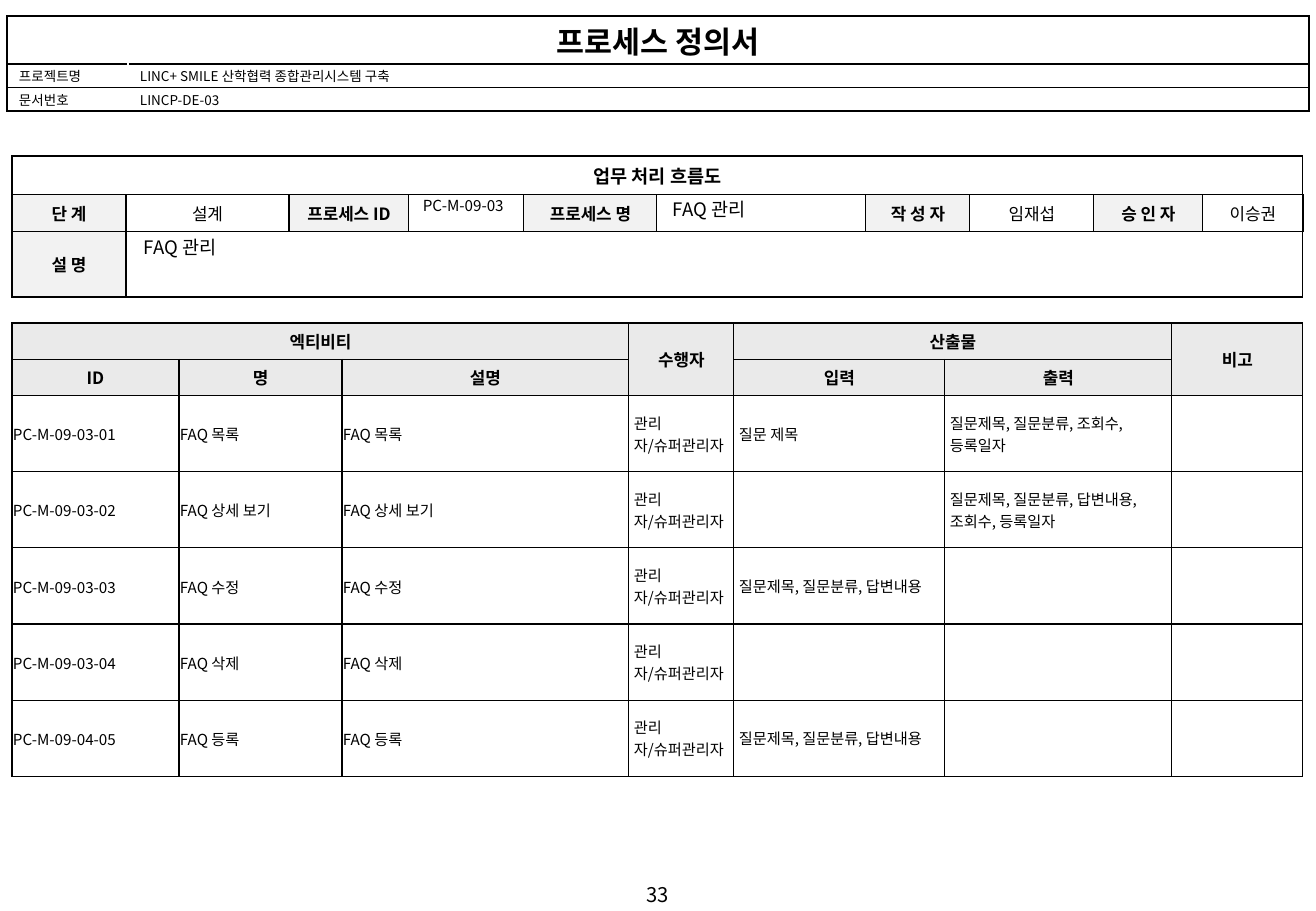
"""Build the process definition slide with its three tables."""
from lxml.etree import SubElement as Sub
from pptx import Presentation
from pptx.dml.color import RGBColor
from pptx.enum.text import MSO_ANCHOR as Anchor, PP_ALIGN as Align
from pptx.oxml.ns import qn
from pptx.util import Pt

PX = 7526
FONT = "Noto Sans CJK KR"
BLACK = RGBColor(0x00, 0x00, 0x00)
WHITE = RGBColor(0xFF, 0xFF, 0xFF)
PALE = RGBColor(0xF2, 0xF2, 0xF2)
GRAY = RGBColor(0xEA, 0xEA, 0xEA)

ROLE = "관리자/슈퍼관리자"
DOC = [
    ["프로세스 정의서", ""],
    ["프로젝트명", "LINC+ SMILE 산학협력 종합관리시스템 구축"],
    ["문서번호", "LINCP-DE-03"],
]
FLOW = [
    ["업무 처리 흐름도"] + [""] * 9,
    ["단 계", "설계", "프로세스 ID", "", "프로세스 명", "",
     "작 성 자", "임재섭", "승 인 자", "이승권"],
    ["설 명"] + [""] * 9,
]
TASKS = [
    ("PC-M-09-03-01", "FAQ 목록", "질문 제목", "질문제목, 질문분류, 조회수, 등록일자"),
    ("PC-M-09-03-02", "FAQ 상세 보기", "", "질문제목, 질문분류, 답변내용, 조회수, 등록일자"),
    ("PC-M-09-03-03", "FAQ 수정", "질문제목, 질문분류, 답변내용", ""),
    ("PC-M-09-03-04", "FAQ 삭제", "", ""),
    ("PC-M-09-04-05", "FAQ 등록", "질문제목, 질문분류, 답변내용", ""),
]
WORK = [
    ["엑티비티", "", "", "수행자", "산출물", "", "비고"],
    ["ID", "명", "설명", "", "입력", "출력", ""],
] + [[code, name, name, ROLE, take, give, ""] for code, name, take, give in TASKS]
NOTES = [
    ("33", 0, 876, 1316, 36, 12, Align.CENTER),
    ("PC-M-09-03", 411, 190, 113, 30, 9, Align.LEFT),
    ("FAQ 관리", 661, 192, 208, 35, 11, Align.LEFT),
    ("FAQ 관리", 132, 230, 1158, 35, 11, Align.LEFT),
]


def doc_style(row, col):
    """Return size, bold, fill, centring, anchor and insets of a document cell."""
    top = row == 0
    return 18 if top else 8, top, WHITE, top, Anchor.TOP, (12, 2, 12, 2)


def flow_style(row, col):
    """Return the same six settings for a flow cell."""
    label = row > 0 and col % 2 == 0 and (row == 1 or col == 0)
    size = 10 if row else 11
    fill = PALE if label else WHITE
    return size, label or row == 0, fill, True, Anchor.MIDDLE, (12, 6, 12, 6)


def work_style(row, col):
    """Return the same six settings for an activity cell."""
    if row < 2:
        return 10, True, GRAY, True, Anchor.MIDDLE, (12, 6, 12, 6)
    pad = (1, 1, 1, 0) if col < 3 else (5, 5, 5, 5)
    return 9, False, WHITE, False, Anchor.MIDDLE, pad


def set_font(para, size, bold=False):
    """Format a paragraph, including its East Asian face."""
    font = para.font
    font.name, font.size, font.bold = FONT, Pt(size), bold
    font.color.rgb = BLACK
    Sub(para._p.pPr.find(qn("a:defRPr")), qn("a:ea"), typeface=FONT)
    if not para.text:
        Sub(para._p, qn("a:endParaRPr"), sz=str(size * 100))


def set_edge(cell, side, color, width):
    """Draw one border of a cell."""
    line = Sub(cell._tc.get_or_add_tcPr(), qn(f"a:ln{side}"), w=str(Pt(width)))
    Sub(Sub(line, qn("a:solidFill")), qn("a:srgbClr"), val=str(color))


def add_grid(slide, data, left, top, cols, rows, style, spans, thin, heavy, pale=()):
    """Add a table whose sides named in heavy have one-point lines."""
    frame = slide.shapes.add_table(len(rows), len(cols), left * PX, top * PX,
                                   sum(cols) * PX, sum(rows) * PX)
    table = frame.table
    table.first_row = table.horz_banding = False
    for col, width in zip(table.columns, cols):
        col.width = width * PX
    for row, height in zip(table.rows, rows):
        row.height = height * PX
    for r, texts in enumerate(data):
        for c, text in enumerate(texts):
            cell = table.cell(r, c)
            size, bold, fill, mid, anchor, pad = style(r, c)
            ends = {"L": c == 0, "R": c == len(cols) - 1,
                    "T": r == 0, "B": r == len(rows) - 1}
            for side, end in ends.items():
                color = WHITE if (r > 0 and (c, side) in pale) else BLACK
                set_edge(cell, side, color, 1 if end and side in heavy else thin)
            cell.fill.solid()
            cell.fill.fore_color.rgb = fill
            cell.vertical_anchor = anchor
            (cell.margin_left, cell.margin_top,
             cell.margin_right, cell.margin_bottom) = [n * PX for n in pad]
            cell.text = text
            para = cell.text_frame.paragraphs[0]
            para.alignment = Align.CENTER if mid else Align.LEFT
            set_font(para, size, bold)
    for r, c, down, over in spans:
        table.cell(r, c).merge(table.cell(r + down - 1, c + over - 1))


def add_note(slide, text, left, top, width, height, size, align):
    """Add one line of free text."""
    box = slide.shapes.add_textbox(left * PX, top * PX, width * PX, height * PX)
    box.text_frame.word_wrap = True
    para = box.text_frame.paragraphs[0]
    para.text, para.alignment = text, align
    set_font(para, size)


def main():
    """Build and save the slide."""
    deck = Presentation()
    deck.slide_width, deck.slide_height = 1316 * PX, 911 * PX
    slide = deck.slides.add_slide(deck.slide_layouts[6])
    add_grid(slide, DOC, 7, 16, [121, 1181], [47, 21, 21], doc_style,
             [(0, 0, 1, 2)], 1, "LRTB", [(0, "R"), (1, "L")])
    add_grid(slide, FLOW, 12, 156,
             [114, 163, 120, 115, 133, 209, 104, 124, 109, 100], [34, 33, 66],
             flow_style, [(0, 0, 1, 10), (2, 1, 1, 9)], 0.75, "LRTB")
    add_grid(slide, WORK, 12, 323, [167, 163, 287, 105, 211, 227, 131],
             [33, 33] + [46] * len(TASKS), work_style,
             [(0, 0, 1, 3), (0, 3, 2, 1), (0, 4, 1, 2), (0, 6, 2, 1)], 0.75, "L")
    for note in NOTES:
        add_note(slide, *note)
    deck.save("out.pptx")


if __name__ == "__main__":
    main()
